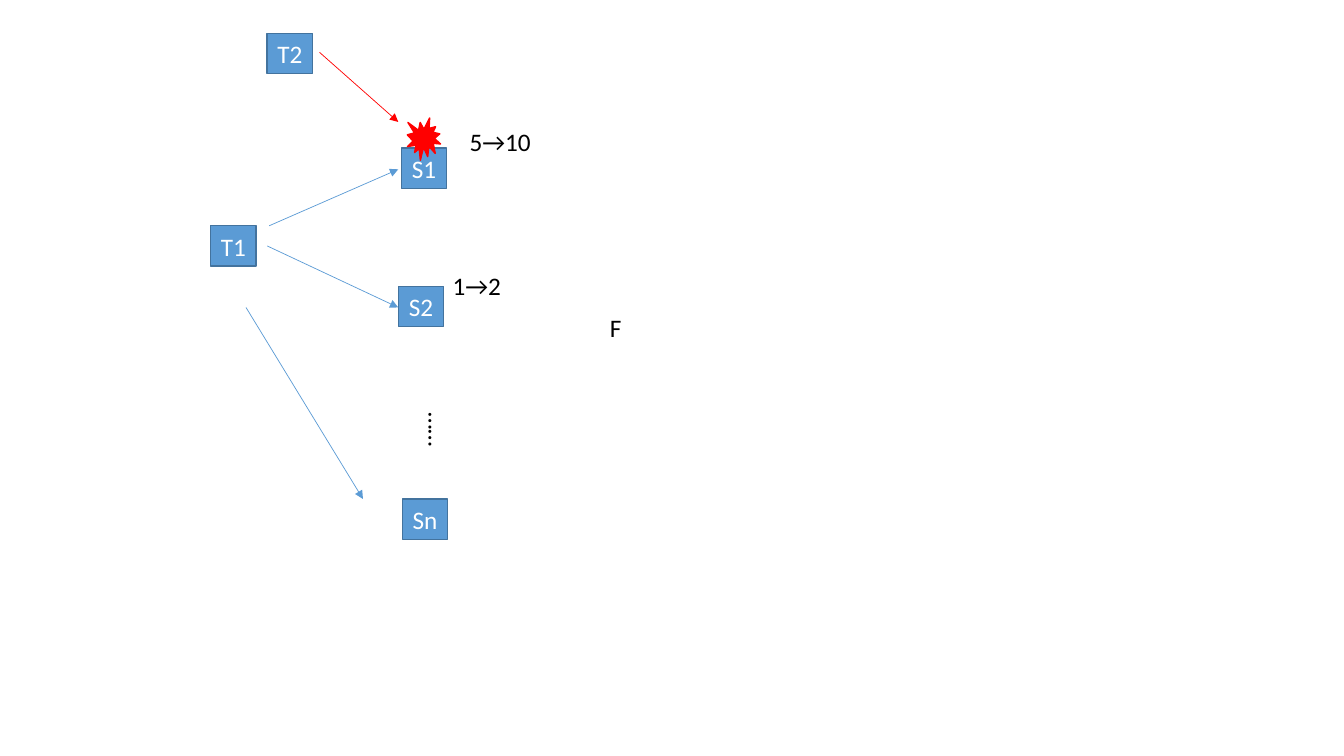
from lxml import etree
from pptx import Presentation
from pptx.dml.color import RGBColor
from pptx.enum.shapes import MSO_CONNECTOR, MSO_SHAPE
from pptx.enum.text import MSO_ANCHOR, MSO_AUTO_SIZE, PP_ALIGN
from pptx.oxml.ns import qn
from pptx.util import Inches, Pt

STRAIGHT = MSO_CONNECTOR.STRAIGHT
RECTANGLE, BURST = MSO_SHAPE.RECTANGLE, MSO_SHAPE.EXPLOSION1
CENTER, LEFT = PP_ALIGN.CENTER, PP_ALIGN.LEFT
MIDDLE, TOP = MSO_ANCHOR.MIDDLE, MSO_ANCHOR.TOP
FIT_TEXT = MSO_AUTO_SIZE.SHAPE_TO_FIT_TEXT

COLORS = {"node": "5B9BD5", "border": "43739E", "conflict": "FF0000",
          "label": "000000", "node_text": "FFFFFF"}
ROWS = 75  # square grid cells over the slide's height
NODE_WIDTH, LINE_HEIGHT = 4.5, 4

# Columns and rows from the graph's top left corner
NODES = {"T1": (0, 19.1), "S1": (18.9, 11.4), "S2": (18.6, 25.1),
         "Sn": (19, 46.2), "T2": (5.6, 0)}
ARROWS = [((5.8, 19.1), (18.6, 13.5), "node"),
          ((5.6, 21.1), (18.6, 27.2), "node"),
          ((3.5, 27.2), (15.1, 46.2), "node"),
          ((10.8, 1.9), (18.6, 8.8), "conflict")]
LABELS = [("5→10", (24.7, 8.7, 8.3, LINE_HEIGHT)),
          ("1→2", (23, 23, 7.1, LINE_HEIGHT)),
          ("F", (38.6, 27.2, 3.2, LINE_HEIGHT))]
ELLIPSIS = ("……", (19.6, 36.6, 5, 4.5))
CONFLICT_BURST = (19.5, 8.4, 3.3, 4.2)


def rgb(name):
    return RGBColor.from_string(COLORS[name])


def write(shape, text, color, align, anchor):
    frame = shape.text_frame
    frame.text = text
    frame.word_wrap = False
    frame.auto_size = FIT_TEXT
    frame.vertical_anchor = anchor
    paragraph = frame.paragraphs[0]
    paragraph.alignment = align
    paragraph.font.name = "Calibri"
    paragraph.font.size = Pt(18)
    paragraph.font.color.rgb = rgb(color)


def add_filled(slide, preset, box, fill, border):
    shape = slide.shapes.add_shape(preset, *box)
    shape.shadow.inherit = False
    shape.fill.solid()
    shape.fill.fore_color.rgb = rgb(fill)
    shape.line.color.rgb = rgb(border)
    shape.line.width = Pt(1)
    return shape


def add_label(slide, text, box):
    label = slide.shapes.add_textbox(*box)
    write(label, text, "label", LEFT, TOP)
    return label


def add_arrow(slide, start, end, color):
    arrow = slide.shapes.add_connector(STRAIGHT, *start, *end)
    arrow.line.color.rgb = rgb(color)
    arrow.line.width = Pt(0.5)
    etree.SubElement(arrow.line._get_or_add_ln(), qn("a:tailEnd"), type="triangle")
    etree.SubElement(arrow._element.spPr, qn("a:effectLst"))


def add_transaction_graph(slide, left, top, cell):
    def point(column, row):
        return round(left + column * cell), round(top + row * cell)

    def area(column, row, width, height):
        return *point(column, row), round(width * cell), round(height * cell)

    for name, corner in NODES.items():
        node = add_filled(slide, RECTANGLE, area(*corner, NODE_WIDTH, LINE_HEIGHT),
                          "node", "border")
        write(node, name, "node_text", CENTER, MIDDLE)
    for start, end, color in ARROWS:
        add_arrow(slide, point(*start), point(*end), color)
    for text, box in LABELS:
        add_label(slide, text, area(*box))
    text, box = ELLIPSIS
    ellipsis = add_label(slide, text, area(*box))
    ellipsis.text_frame._txBody.bodyPr.set("vert", "eaVert")
    add_filled(slide, BURST, area(*CONFLICT_BURST), "conflict", "conflict")


def main():
    deck = Presentation()
    deck.slide_width, deck.slide_height = Inches(13.33), Inches(7.5)
    cell = deck.slide_height / ROWS
    slide = deck.slides.add_slide(deck.slide_layouts[6])
    add_transaction_graph(slide, 20.9 * cell, 3.3 * cell, cell)
    deck.save("out.pptx")


if __name__ == "__main__":
    main()
